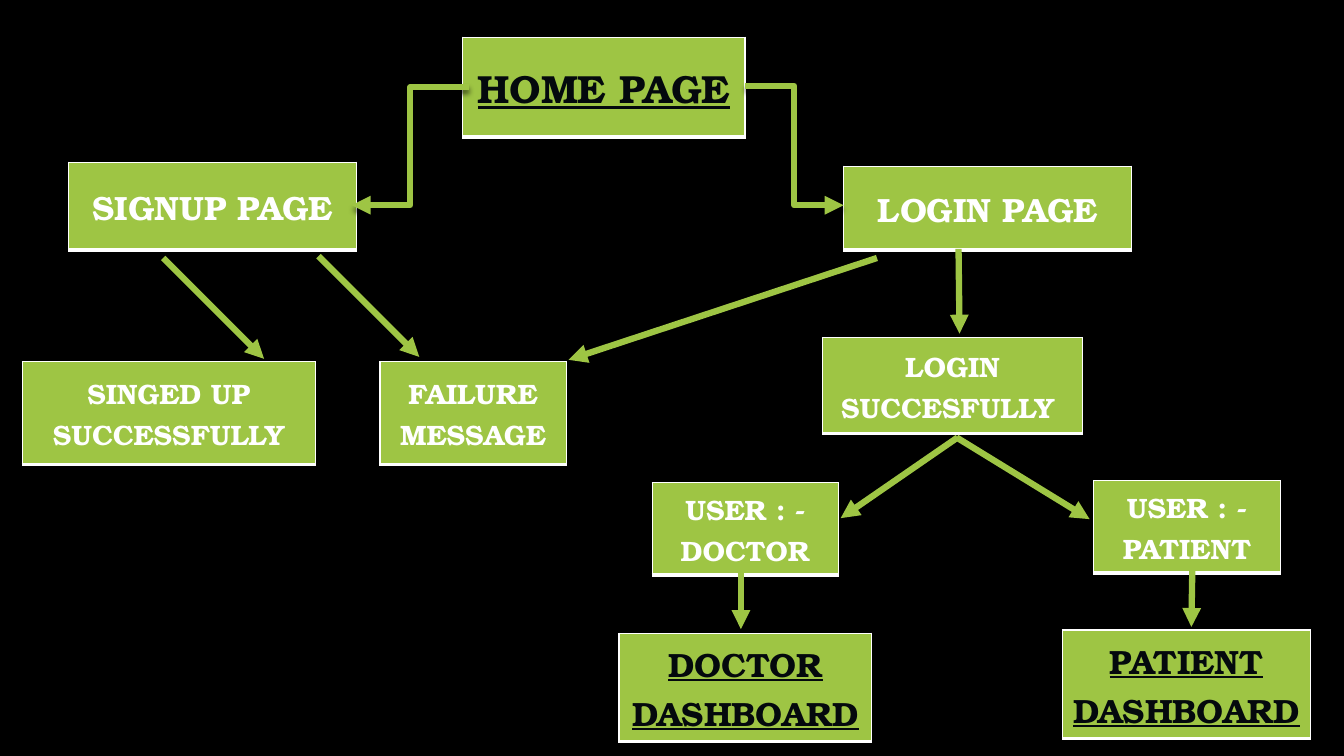
from dataclasses import dataclass

from lxml import etree
from pptx import Presentation
from pptx import util as u
from pptx.dml.color import RGBColor
from pptx.enum import shapes, text
from pptx.oxml import ns

GREEN, WHITE, INK, BLACK = "9EC544", "FFFFFF", "04090D", "000000"
FONT = "TeX Gyre Bonum"
MESSAGE = {"size": u.Pt(20)}
PAGE = {"size": u.Pt(24)}
DASHBOARD = {"size": u.Pt(24), "underline": True}
HOME = {"size": u.Pt(28), "underline": True}


@dataclass
class Box:
    label: str
    left: float
    top: float
    width: float
    height: float
    format: dict


@dataclass
class Arrow:
    start: tuple[float, float]
    end: tuple[float, float]
    bent: bool = False


BOXES = [
    Box("HOME PAGE", 330.5, 26.6, 201.6, 71.3, HOME),
    Box("FAILURE MESSAGE", 271.4, 258.5, 133.2, 73.4, MESSAGE),
    Box("SIGNUP PAGE", 49, 115.9, 205.9, 62.6, PAGE),
    Box("DOCTOR DASHBOARD", 442.1, 452.2, 180.7, 77.5, DASHBOARD),
    Box("LOGIN SUCCESFULLY ", 587.5, 241.2, 185.8, 68.4, MESSAGE),
    Box("SINGED UP SUCCESSFULLY", 15.8, 258.5, 209.5, 73.4, MESSAGE),
    Box("USER : - DOCTOR", 465.8, 344.9, 133.2, 65.5, MESSAGE),
    Box("USER : - PATIENT", 781.2, 343.4, 133.2, 65.5, MESSAGE),
    Box("PATIENT DASHBOARD", 758.9, 450, 177.1, 77.5, DASHBOARD),
    Box("LOGIN PAGE", 602.6, 118.8, 205.9, 59.8, PAGE),
]
ARROWS = [
    Arrow((532.1, 61.4), (602.6, 146.6), bent=True),
    Arrow((334.8, 62.4), (251.3, 146.6), bent=True),
    Arrow((227.5, 182.9), (299.5, 254.9)),
    Arrow((116.6, 184.3), (188.6, 256.3)),
    Arrow((684.7, 177.8), (685.4, 238.3)),
    Arrow((684, 312.5), (600.5, 370.1)),
    Arrow((683.3, 312.5), (778.3, 370.8)),
    Arrow((626.4, 184.3), (406.1, 257)),
    Arrow((529.2, 401), (529.2, 449.3)),
    Arrow((851.8, 399.6), (851, 447.8)),
]


def color(value: str) -> RGBColor:
    return RGBColor.from_string(value)


def add_xml(parent, tag: str, **attributes):
    return etree.SubElement(parent, ns.qn(tag), attributes)


def set_borders(cell) -> None:
    """White hairlines with a heavier bottom edge, placed ahead of the fill."""
    properties = cell._tc.get_or_add_tcPr()
    widths = {"a:lnL": 1, "a:lnR": 1, "a:lnT": 1, "a:lnB": 3}
    for index, (tag, width) in enumerate(widths.items()):
        border = add_xml(properties, tag, w=str(u.Pt(width)))
        fill = add_xml(border, "a:solidFill")
        add_xml(fill, "a:srgbClr", val=WHITE)
        properties.insert(index, border)


def draw_box(slide, box: Box) -> None:
    area = [u.Pt(n) for n in (box.left, box.top, box.width, box.height)]
    table = slide.shapes.add_table(1, 1, *area).table
    table.first_row = table.horz_banding = False
    cell = table.cell(0, 0)
    cell.fill.solid()
    cell.fill.fore_color.rgb = color(GREEN)
    cell.vertical_anchor = text.MSO_ANCHOR.MIDDLE
    set_borders(cell)

    paragraph = cell.text_frame.paragraphs[0]
    paragraph.alignment = text.PP_ALIGN.CENTER
    run = paragraph.add_run()
    run.text = box.label
    for name, value in {"name": FONT, "bold": True, **box.format}.items():
        setattr(run.font, name, value)
    run.font.color.rgb = color(INK if "underline" in box.format else WHITE)


def draw_arrow(slide, arrow: Arrow) -> None:
    kind = shapes.MSO_CONNECTOR.ELBOW if arrow.bent else shapes.MSO_CONNECTOR.STRAIGHT
    points = [u.Pt(n) for n in (*arrow.start, *arrow.end)]
    connector = slide.shapes.add_connector(kind, *points)
    connector.line.width = u.Pt(4.5)
    connector.line.color.rgb = color(GREEN)
    add_xml(connector.line._get_or_add_ln(), "a:tailEnd", type="triangle")

    effects = add_xml(connector._element.spPr, "a:effectLst")
    if arrow.bent:
        shadow = add_xml(effects, "a:outerShdw", blurRad=str(u.Pt(4)),
                         dist=str(u.Pt(3)), dir="5400000", rotWithShape="0")
        shade = add_xml(shadow, "a:srgbClr", val=BLACK)
        add_xml(shade, "a:alpha", val="54000")


def main() -> None:
    presentation = Presentation()
    presentation.slide_width, presentation.slide_height = u.Pt(960), u.Pt(540)
    slide = presentation.slides.add_slide(presentation.slide_layouts[6])
    slide.background.fill.solid()
    slide.background.fill.fore_color.rgb = color(BLACK)
    for box in BOXES:
        draw_box(slide, box)
    for arrow in ARROWS:
        draw_arrow(slide, arrow)
    presentation.save("out.pptx")


if __name__ == "__main__":
    main()
